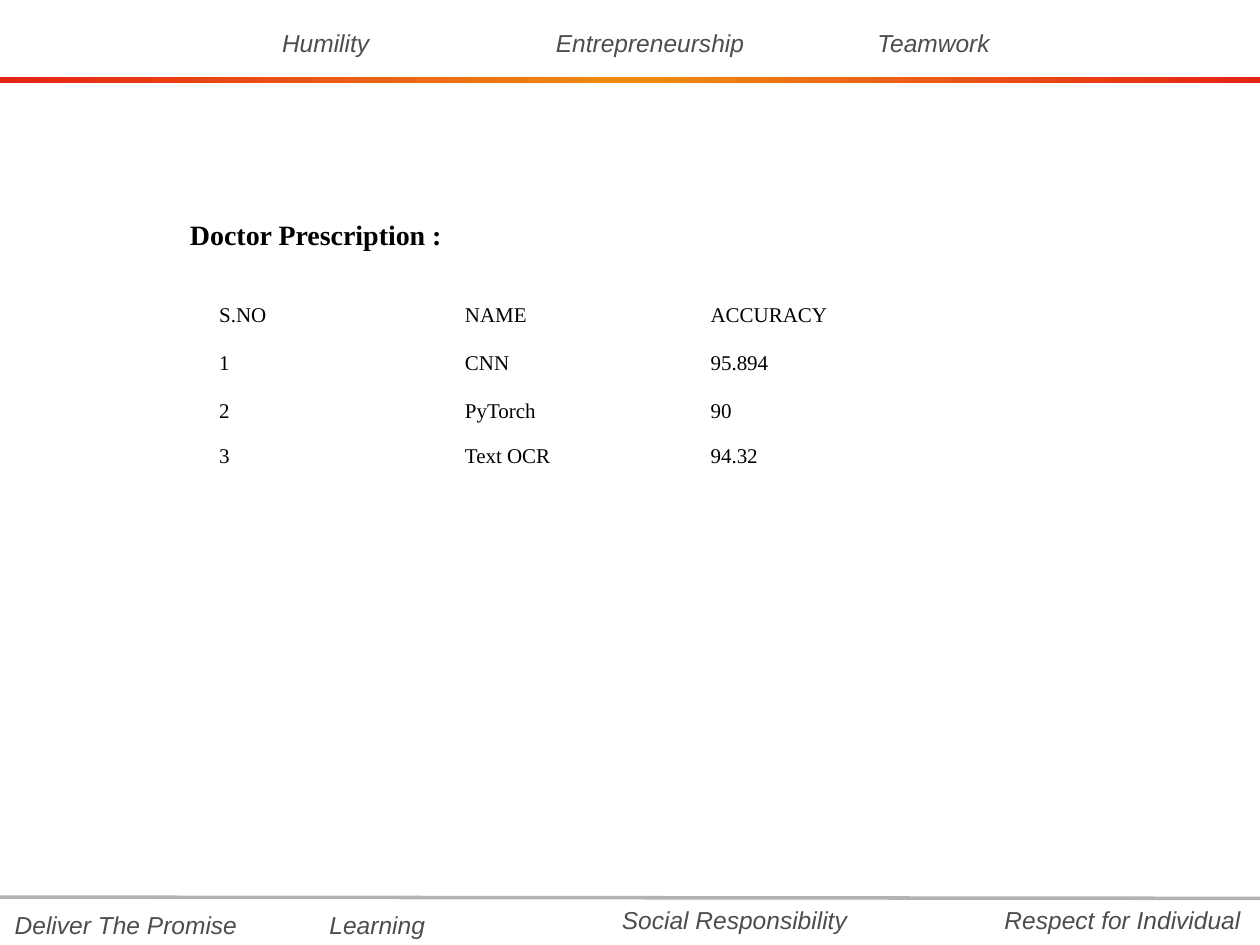
from copy import deepcopy

from lxml.etree import SubElement
from pptx import Presentation
from pptx.dml.color import RGBColor as RGB
from pptx.enum.shapes import MSO_CONNECTOR as Conn, MSO_SHAPE as Shape
from pptx.enum.text import PP_ALIGN as Align
from pptx.oxml.ns import qn
from pptx.util import Inches, Pt

BLACK = RGB(0x00, 0x00, 0x00)
GRAY = RGB(0x4D, 0x4D, 0x4D)
SILVER = RGB(0xB2, 0xB2, 0xB2)
RED = RGB(0xE4, 0x23, 0x14)
ORANGE = RGB(0xF0, 0x8C, 0x12)

SANS = "Arial"
SERIF = "Times New Roman"

VALUES = [
    ("Humility", 1.92, 0.17, 1.33),
    ("Entrepreneurship", 4.08, 0.17, 2.16),
    ("Teamwork", 6.33, 0.17, 2.16),
    ("Deliver The Promise", 0, 7.17, 2),
    ("Learning", 2.33, 7.17, 1.33),
    ("Social Responsibility", 4.75, 7.13, 2.16),
    ("Respect for Individual", 7.83, 7.13, 2.16),
]
ROWS = [
    ("S.NO", "NAME", "ACCURACY"),
    ("1", "CNN", "95.894"),
    ("2", "PyTorch", "90"),
    ("3", "Text OCR", "94.32"),
]
HEIGHTS = [0.38, 0.38, 0.36, 0.36]
WIDTH = 1.95


def style(para, name, size, color, bold=False, italic=False):
    for run in para.runs:
        font = run.font
        font.name, font.size = name, Pt(size)
        font.bold, font.italic = bold, italic
        font.color.rgb = color


def add_text(slide, text, left, top, width, height, wrap=True):
    box = slide.shapes.add_textbox(
        Inches(left), Inches(top), Inches(width), Inches(height))
    box.text_frame.word_wrap = wrap
    box.text_frame.text = text
    return box.text_frame.paragraphs[0]


def add_value(slide, text, left, top, width):
    para = add_text(slide, text, left, top, width, 0.33)
    para.alignment = Align.CENTER
    style(para, SANS, 14, GRAY, italic=True)


def add_band(slide):
    band = slide.shapes.add_shape(
        Shape.RECTANGLE, 0, Inches(0.61), Inches(10), Inches(0.05))
    band.shadow.inherit = False
    band.line.fill.background()
    fill = band.fill
    fill.gradient()
    fill.gradient_angle = 0
    first = fill._fill._gradFill.gsLst[0]
    first.addnext(deepcopy(first))
    for stop, place, color in zip(
            fill.gradient_stops, (0, 0.5, 1), (RED, ORANGE, RED)):
        stop.position = place
        stop.color.rgb = color


def add_rule(slide):
    rule = slide.shapes.add_connector(
        Conn.STRAIGHT, 0, Inches(7.12), Inches(10), Inches(7.13))
    rule.line.color.rgb = SILVER
    rule.line.width = Pt(2)
    SubElement(rule._element.spPr, qn("a:effectLst"))


def fill_cell(cell, text):
    cell.fill.background()
    cell.margin_left = cell.margin_right = Inches(0.07)
    cell.margin_top = cell.margin_bottom = 0
    cell.text_frame.text = text
    para = cell.text_frame.paragraphs[0]
    para.line_spacing = 1.07
    para.space_after = Pt(8)
    style(para, SERIF, 12, BLACK)


def add_scores(slide):
    cols = len(ROWS[0])
    table = slide.shapes.add_table(
        len(ROWS), cols, Inches(1.67), Inches(2.4),
        Inches(cols * WIDTH), Inches(sum(HEIGHTS))).table
    table.first_row = table.horz_banding = False
    for col in table.columns:
        col.width = Inches(WIDTH)
    for row, height, texts in zip(table.rows, HEIGHTS, ROWS):
        row.height = Inches(height)
        for cell, text in zip(row.cells, texts):
            fill_cell(cell, text)


def main():
    deck = Presentation()
    deck.slide_width, deck.slide_height = Inches(10), Inches(7.5)
    slide = deck.slides.add_slide(deck.slide_layouts[6])
    for value in VALUES:
        add_value(slide, *value)
    add_band(slide)
    add_rule(slide)
    title = add_text(
        slide, "Doctor Prescription :", 1.41, 1.68, 2.24, 0.37, wrap=False)
    style(title, SERIF, 16, BLACK, bold=True)
    add_scores(slide)
    deck.save("out.pptx")


if __name__ == "__main__":
    main()
